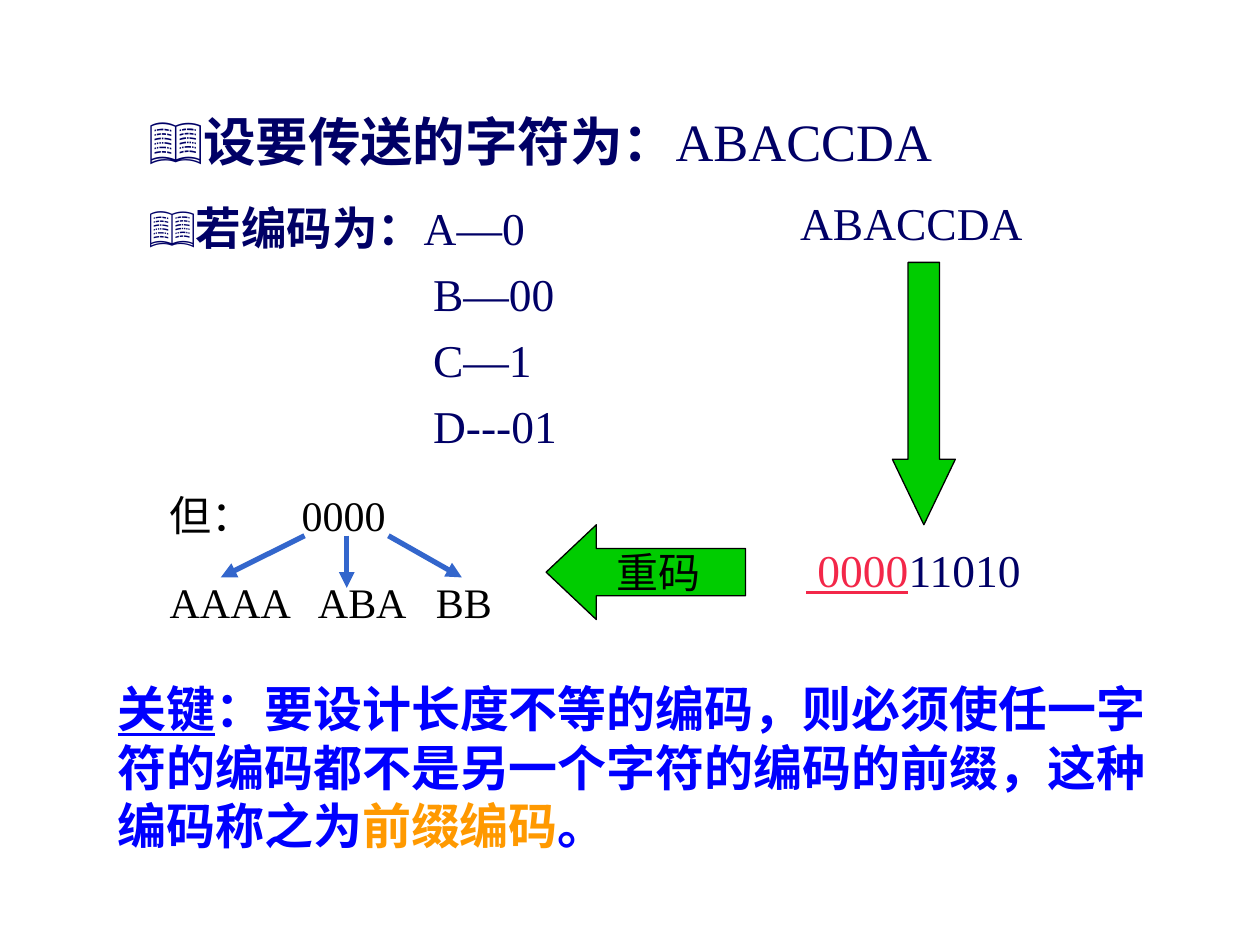
from lxml.etree import SubElement
from pptx import Presentation
from pptx.dml.color import RGBColor
from pptx.enum.shapes import MSO_CONNECTOR as CONN, MSO_SHAPE as SHAPE
from pptx.enum.text import MSO_ANCHOR as ANCHOR, PP_ALIGN as ALIGN
from pptx.oxml.ns import qn
from pptx.util import Cm, Pt

FONT = "Times New Roman"
NAVY, BLACK, BLUE, RED = "000066", "000000", "0000FF", "F32749"
ORANGE, GREEN, ARROW_BLUE = "FF9900", "00CC00", "3366CC"

# Content: a run is (text, colour, format); a paragraph is (runs, size, layout)
CODE_INDENT = 5.74
CODES = ["B—00", "C—1", "D---01"]
BOOK = {"bullet": "📖", "line_spacing": 1.3}
BOLD, PLAIN = {"bold": True}, {"bold": False}

TEXTS = [  # (left, top, width, height), paragraphs
    ((2.74, 1.7, 18.62, 8.89), [
        ([("设要传送的字符为：", NAVY, BOLD), ("ABACCDA", NAVY, PLAIN)], 30, BOOK),
        ([("若编码为：", NAVY, BOLD), ("A—0", NAVY, PLAIN)], 26,
         {**BOOK, "space_before": Pt(6.5)}),
        *[([(code, NAVY, PLAIN)], 26,
           {"indent": CODE_INDENT, "space_before": Pt(6.5)}) for code in CODES],
    ]),
    ((2.12, 13.55, 21.59, 3.81), [
        ([("关键", BLUE, {"bold": True, "underline": True}),
          ("：要设计长度不等的编码，则必须使任一字符的编码都不是另一个字符的编码的前缀，这种编码称之为",
           BLUE, BOLD),
          ("前缀编码", ORANGE, BOLD), ("。", BLUE, BOLD)], 28, {}),
    ]),
    ((15.24, 3.81, 5.72, 1.37), [([("ABACCDA", NAVY, PLAIN)], 26, {"indent": 0.64})]),
    ((14.39, 10.8, 6.99, 1.37), [
        ([(" 0000", RED, {"underline": True}), ("11010", NAVY, PLAIN)], 26,
         {"indent": 1.61}),
    ]),
    ((3.17, 9.74, 8.68, 3.02), [
        ([("但：\t0000", BLACK, PLAIN)], 24, {"tabs": [2.66]}),
        ([("AAAA\tABA\tBB", BLACK, PLAIN)], 24,
         {"tabs": [2.99, 5.37], "space_before": Pt(21)}),
    ]),
]

BLOCK_ARROWS = [  # preset, box, head length, label
    (SHAPE.DOWN_ARROW, (17.99, 5.29, 1.27, 5.29), 1.04, ""),
    (SHAPE.LEFT_ARROW, (11.01, 10.58, 4.02, 1.91), 0.53, "重码"),
]

BRANCH_TOP = 10.8
BRANCHES = [(6.14, 4.45, 11.64), (6.99, 6.99, 11.85), (7.83, 9.31, 11.64)]


def rgb(value):
    return RGBColor.from_string(value)


def set_format(target, values):
    for name, value in values.items():
        setattr(target, name, value)


def add_run(p, text, color, size, values):
    r = p.add_run()
    r.text = text
    set_format(r.font, {"name": FONT, "size": Pt(size), **values})
    r.font.color.rgb = rgb(color)


def set_layout(p, layout):
    """Apply indent, bullet, tab stops and spacing to a paragraph."""
    rest = dict(layout)
    indent, bullet, tabs = (rest.pop(k, None) for k in ("indent", "bullet", "tabs"))
    set_format(p, rest)
    pPr = p._p.get_or_add_pPr()
    if indent:
        pPr.set("marL", str(Cm(indent)))
    if bullet:
        clr = SubElement(pPr, qn("a:buClr"))
        SubElement(clr, qn("a:srgbClr"), val=NAVY)
        SubElement(pPr, qn("a:buFont"), typeface=FONT)
        SubElement(pPr, qn("a:buChar"), char=bullet)
    if tabs:
        tab_list = SubElement(pPr, qn("a:tabLst"))
        for pos in tabs:
            SubElement(tab_list, qn("a:tab"), pos=str(Cm(pos)), algn="l")


def add_text(s, box, paragraphs):
    tf = s.shapes.add_textbox(*map(Cm, box)).text_frame
    tf.word_wrap = True
    for i, (runs, size, layout) in enumerate(paragraphs):
        p = tf.add_paragraph() if i else tf.paragraphs[0]
        set_layout(p, layout)
        for text, color, values in runs:
            add_run(p, text, color, size, values)


def add_block_arrow(s, preset, box, head, label):
    sp = s.shapes.add_shape(preset, *map(Cm, box))
    sp.shadow.inherit = False
    sp.adjustments[0], sp.adjustments[1] = 0.5, head
    sp.fill.solid()
    sp.fill.fore_color.rgb = rgb(GREEN)
    sp.line.color.rgb = rgb(BLACK)
    sp.line.width = Pt(0.75)
    if label:
        tf = sp.text_frame
        set_format(tf, {"word_wrap": False, "vertical_anchor": ANCHOR.MIDDLE})
        p = tf.paragraphs[0]
        p.alignment = ALIGN.CENTER
        add_run(p, label, BLACK, 24, {})


def add_branch(s, x1, x2, y2):
    sp = s.shapes.add_connector(CONN.STRAIGHT, Cm(x1), Cm(BRANCH_TOP), Cm(x2), Cm(y2))
    sp.line.color.rgb = rgb(ARROW_BLUE)
    sp.line.width = Pt(3)
    SubElement(sp.line._get_or_add_ln(), qn("a:tailEnd"), type="triangle")
    SubElement(sp._element.spPr, qn("a:effectLst"))


prs = Presentation()
prs.slide_width, prs.slide_height = Cm(25.4), Cm(19.05)
s = prs.slides.add_slide(prs.slide_layouts[6])

# Text blocks, then the arrows between them
for box, paragraphs in TEXTS:
    add_text(s, box, paragraphs)
for arrow in BLOCK_ARROWS:
    add_block_arrow(s, *arrow)
for branch in BRANCHES:
    add_branch(s, *branch)

prs.save("out.pptx")
